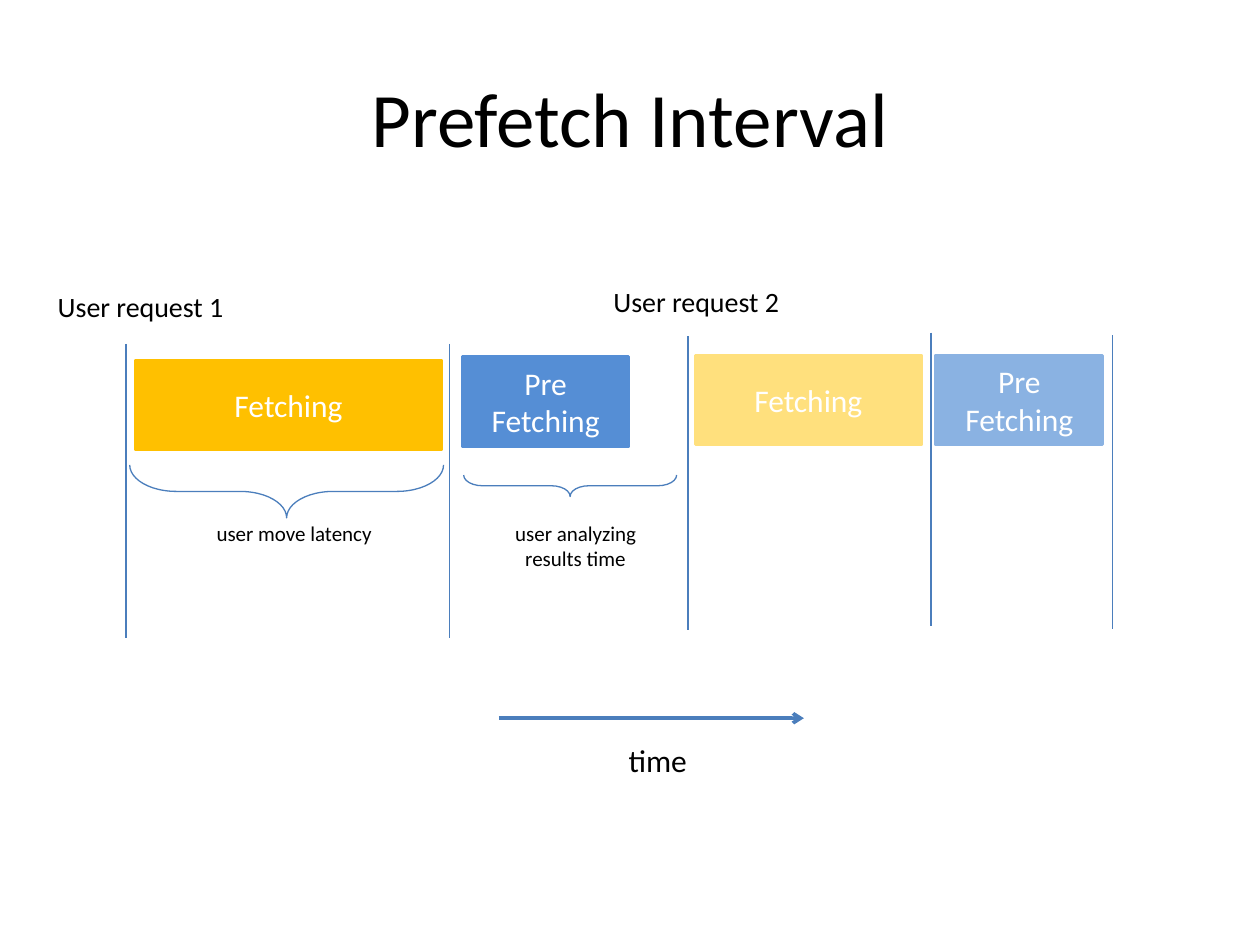
from typing import NamedTuple

from lxml.etree import SubElement
from pptx import Presentation
from pptx.dml.color import RGBColor
from pptx.enum.shapes import MSO_CONNECTOR, MSO_SHAPE
from pptx.enum.text import MSO_ANCHOR, MSO_AUTO_SIZE, PP_ALIGN
from pptx.oxml.ns import qn
from pptx.shapes.autoshape import Shape
from pptx.shapes.connector import Connector
from pptx.slide import Slide
from pptx.util import Inches, Pt

FONT = "Calibri"
BLACK = "000000"
WHITE = "FFFFFF"
LINE_BLUE = "4B7EBC"
PHASE_HEIGHT = 0.71
MARKER_LENGTH = 2.33


class Phase(NamedTuple):
    text: str
    left: float
    top: float
    width: float
    color: str


class Label(NamedTuple):
    text: str
    left: float
    top: float
    width: float
    height: float
    size: int
    wrap: bool = False


class Marker(NamedTuple):
    x: float
    top: float


class Brace(NamedTuple):
    left: float
    top: float
    width: float
    height: float


PHASES = [
    Phase("Fetching", 1.08, 2.86, 2.42, "FFC000"),
    Phase("Pre Fetching", 3.67, 2.83, 1.32, "558ED5"),
    Phase("Fetching", 5.52, 2.82, 1.79, "FFE07D"),
    Phase("Pre Fetching", 7.43, 2.82, 1.32, "8AB2E2"),
]
LABELS = [
    Label("User request 1", 0.36, 2.25, 1.54, 0.37, 16),
    Label("User request 2", 4.77, 2.21, 1.54, 0.37, 16),
    Label("time", 4.89, 5.83, 0.67, 0.4, 18),
    Label("user move latency", 1.62, 4.08, 1.45, 0.3, 12),
]
ANALYSIS_LABEL = Label("user analyzing\nresults time", 3.99, 4.08, 1.81, 0.5, 12, True)
MARKERS = [
    Marker(1, 2.73),
    Marker(3.57, 2.73),
    Marker(5.46, 2.67),
    Marker(7.39, 2.64),
    Marker(8.83, 2.66),
]
BRACES = [Brace(1.03, 3.69, 2.49, 0.42), Brace(3.68, 3.77, 1.69, 0.17)]


def rgb(color: str) -> RGBColor:
    return RGBColor.from_string(color)


def format_text(shape: Shape, size: int, color: str, alignment: PP_ALIGN) -> None:
    for paragraph in shape.text_frame.paragraphs:
        paragraph.alignment = alignment
        for run in paragraph.runs:
            run.font.name = FONT
            run.font.size = Pt(size)
            run.font.color.rgb = rgb(color)


def add_title(slide: Slide, text: str) -> None:
    title = slide.shapes.add_textbox(Inches(0.5), Inches(0.3), Inches(9), Inches(1.25))
    title.text_frame.text = text
    title.text_frame.word_wrap = True
    title.text_frame.vertical_anchor = MSO_ANCHOR.MIDDLE
    format_text(title, 44, BLACK, PP_ALIGN.CENTER)


def add_label(slide: Slide, label: Label) -> Shape:
    box = slide.shapes.add_textbox(
        Inches(label.left), Inches(label.top), Inches(label.width), Inches(label.height)
    )
    box.text_frame.text = label.text
    box.text_frame.word_wrap = label.wrap
    box.text_frame.auto_size = MSO_AUTO_SIZE.SHAPE_TO_FIT_TEXT
    format_text(box, label.size, BLACK, PP_ALIGN.LEFT)
    return box


def add_phase(slide: Slide, phase: Phase) -> None:
    shape = slide.shapes.add_shape(
        MSO_SHAPE.RECTANGLE,
        Inches(phase.left), Inches(phase.top), Inches(phase.width), Inches(PHASE_HEIGHT),
    )
    shape.shadow.inherit = False
    shape.fill.solid()
    shape.fill.fore_color.rgb = rgb(phase.color)
    shape.line.color.rgb = rgb(phase.color)
    shape.line.width = Pt(2)
    shape.text_frame.text = phase.text
    shape.text_frame.word_wrap = True
    shape.text_frame.vertical_anchor = MSO_ANCHOR.MIDDLE
    format_text(shape, 18, WHITE, PP_ALIGN.CENTER)


def add_line(
    slide: Slide, x1: float, y1: float, x2: float, y2: float, width: float
) -> Connector:
    line = slide.shapes.add_connector(
        MSO_CONNECTOR.STRAIGHT, Inches(x1), Inches(y1), Inches(x2), Inches(y2)
    )
    line.line.color.rgb = rgb(LINE_BLUE)
    line.line.width = Pt(width)
    SubElement(line._element.spPr, qn("a:effectLst"))
    return line


def add_brace(slide: Slide, brace: Brace) -> None:
    """Turn a left brace so that it spans the given area and points down."""
    center_x = brace.left + brace.width / 2
    center_y = brace.top + brace.height / 2
    shape = slide.shapes.add_shape(
        MSO_SHAPE.LEFT_BRACE,
        Inches(center_x - brace.height / 2), Inches(center_y - brace.width / 2),
        Inches(brace.height), Inches(brace.width),
    )
    shape.rotation = 270
    shape.adjustments[0] = 0.88
    shape.adjustments[1] = 0.5
    shape.shadow.inherit = False
    shape.fill.background()
    shape.line.color.rgb = rgb(LINE_BLUE)
    shape.line.width = Pt(0.75)


def main() -> None:
    presentation = Presentation()
    presentation.slide_width = Inches(10)
    presentation.slide_height = Inches(7.5)
    slide = presentation.slides.add_slide(presentation.slide_layouts[6])

    add_title(slide, "Prefetch Interval")
    for marker in MARKERS:
        add_line(slide, marker.x, marker.top, marker.x, marker.top + MARKER_LENGTH, 0.75)
    for phase in PHASES:
        add_phase(slide, phase)
    for brace in BRACES:
        add_brace(slide, brace)
    for label in LABELS:
        add_label(slide, label)

    analysis = add_label(slide, ANALYSIS_LABEL)
    second_line = analysis.text_frame.paragraphs[1]
    second_line._p.get_or_add_pPr().set("marL", str(Inches(0.08)))

    time_arrow = add_line(slide, 3.96, 5.7, 6.38, 5.7, 2)
    SubElement(time_arrow.line._get_or_add_ln(), qn("a:tailEnd"), type="arrow")

    presentation.save("out.pptx")


if __name__ == "__main__":
    main()
